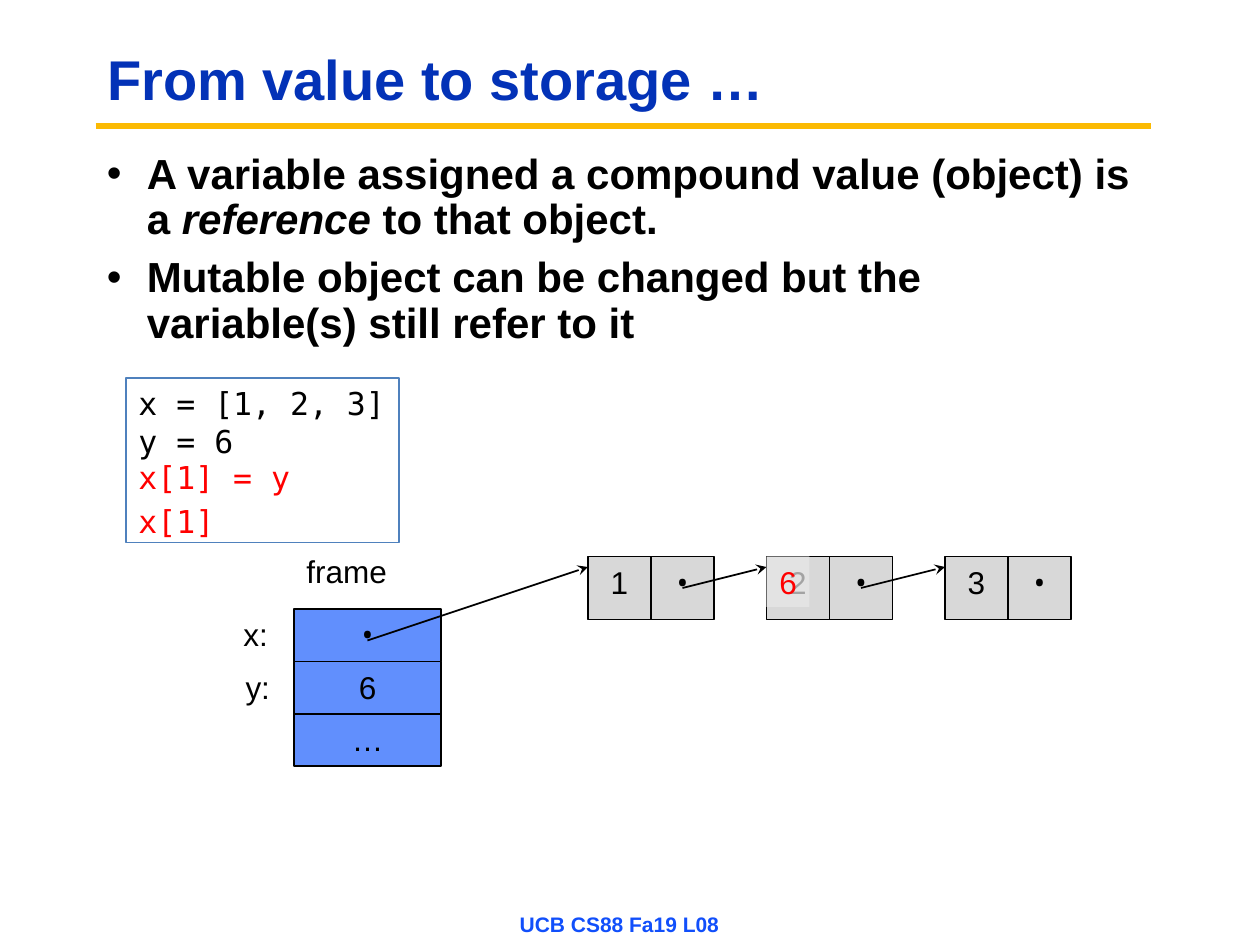
from pptx import Presentation
from pptx.dml.color import RGBColor
from pptx.enum.shapes import MSO_CONNECTOR, MSO_SHAPE
from pptx.enum.text import MSO_ANCHOR, MSO_AUTO_SIZE, PP_ALIGN
from pptx.oxml.ns import qn
from pptx.util import Pt
from lxml.etree import SubElement

PX = 7620
MONO = "DejaVu Sans Mono"
BULLET = "Open Sans"


def rgb(value):
    return RGBColor.from_string(value)


def write(sp, text, size=18, font="Arial", color="000000", bold=False,
          align=PP_ALIGN.LEFT, anchor=MSO_ANCHOR.TOP, wrap=True,
          spacing=None, before=0, bullet=False):
    tf = sp.text_frame
    tf.auto_size = MSO_AUTO_SIZE.NONE
    tf.word_wrap = wrap
    tf.vertical_anchor = anchor
    for i, line in enumerate(text.split("\n")):
        p = tf.add_paragraph() if i else tf.paragraphs[0]
        p.alignment = align
        p.line_spacing = spacing
        p.space_before = Pt(before if i else 0)
        if bullet:
            pPr = p._p.get_or_add_pPr()
            pPr.set("marL", str(38 * PX))
            pPr.set("indent", str(-38 * PX))
            SubElement(pPr, qn("a:buFont"), typeface="Arial")
            SubElement(pPr, qn("a:buChar"), char="•")
        for j, part in enumerate(line.split("*")):
            r = p.add_run()
            r.text = part
            r.font.size = Pt(size)
            r.font.name = font
            r.font.bold = bold
            r.font.italic = j % 2 == 1
            r.font.color.rgb = rgb(color)


prs = Presentation()
prs.slide_width, prs.slide_height = 1200 * PX, 900 * PX
s = prs.slides.add_slide(prs.slide_layouts[5])

rule = s.shapes.add_connector(MSO_CONNECTOR.STRAIGHT, 91 * PX, 120 * PX, 1096 * PX, 120 * PX)
rule.line.color.rgb = rgb("FBBA03")
rule.line.width = Pt(3.75)
SubElement(rule._element.spPr, qn("a:effectLst"))

title = s.shapes.title
title.left, title.top, title.width, title.height = 90 * PX, 30 * PX, 1010 * PX, 97 * PX
write(title, "From value to storage …", size=32, color="0332B7", bold=True,
      anchor=MSO_ANCHOR.MIDDLE, spacing=0.9)

body = s.shapes.add_textbox(90 * PX, 140 * PX, 1000 * PX, 240 * PX)
write(body, "A variable assigned a compound value (object) is a *reference* to that object.\n"
      "Mutable object can be changed but the variable(s) still refer to it",
      size=24, bold=True, spacing=0.9, before=7.2, bullet=True)

code = s.shapes.add_shape(MSO_SHAPE.RECTANGLE, 120 * PX, 360 * PX, 260 * PX, 157 * PX)
code.shadow.inherit = False
code.fill.background()
code.line.color.rgb = rgb("4F81BD")
code.line.width = Pt(0.75)
write(code, "x = [1, 2, 3]\ny = 6", font=MONO)

cells = [(s.shapes, text, 280, 580 + 50 * i, 140, 50, "618FFD")
         for i, text in enumerate(["•", "6", "…"])]
for i, value in enumerate(["1", "2", "3"]):
    node = s.shapes.add_group_shape().shapes
    for j, text in enumerate([value, "•"]):
        cells.append((node, text, 560 + 170 * i + 60 * j, 530, 60, 60, "D8D8D8"))

for shapes, text, x, y, w, h, fill in cells:
    sp = shapes.add_shape(MSO_SHAPE.RECTANGLE, x * PX, y * PX, w * PX, h * PX)
    sp.shadow.inherit = False
    sp.fill.solid()
    sp.fill.fore_color.rgb = rgb(fill)
    sp.line.color.rgb = rgb("000000")
    sp.line.width = Pt(1)
    write(sp, text, font=BULLET if text == "•" else "Arial", align=PP_ALIGN.CENTER)

for x1, y1, x2 in [(650, 560, 730), (820, 560, 900), (350, 610, 560)]:
    arrow = s.shapes.add_connector(MSO_CONNECTOR.STRAIGHT, x1 * PX, y1 * PX, x2 * PX, 540 * PX)
    arrow.line.color.rgb = rgb("000000")
    arrow.line.width = Pt(1)
    SubElement(arrow.line._get_or_add_ln(), qn("a:tailEnd"), type="stealth")
    SubElement(arrow._element.spPr, qn("a:effectLst"))

update = s.shapes.add_shape(MSO_SHAPE.RECTANGLE, 730 * PX, 530 * PX, 41 * PX, 48 * PX)
update.shadow.inherit = False
update.fill.solid()
update.fill.fore_color.rgb = rgb("E9E9E9")
SubElement(update._element.spPr.find(qn("a:solidFill"))[0], qn("a:alpha"), val="70000")
update.line.fill.background()
write(update, "6", color="FF0000", align=PP_ALIGN.CENTER, wrap=False)

labels = [
    ("x:", 220, 580, 48, "Arial", "000000"),
    ("y:", 222, 630, 49, "Arial", "000000"),
    ("frame", 280, 520, 102, "Arial", "000000"),
    ("x[1] = y", 120, 430, 170, MONO, "FF0000"),
    ("x[1]", 120, 472, 97, MONO, "FF0000"),
]
for text, x, y, w, font, color in labels:
    label = s.shapes.add_textbox(x * PX, y * PX, w * PX, 48 * PX)
    write(label, text, font=font, color=color, wrap=False)

footer = s.shapes.add_textbox(400 * PX, 860 * PX, 380 * PX, 40 * PX)
write(footer, "UCB CS88 Fa19 L08", size=12, color="114FFB", bold=True,
      align=PP_ALIGN.CENTER, anchor=MSO_ANCHOR.MIDDLE)

prs.save("out.pptx")
